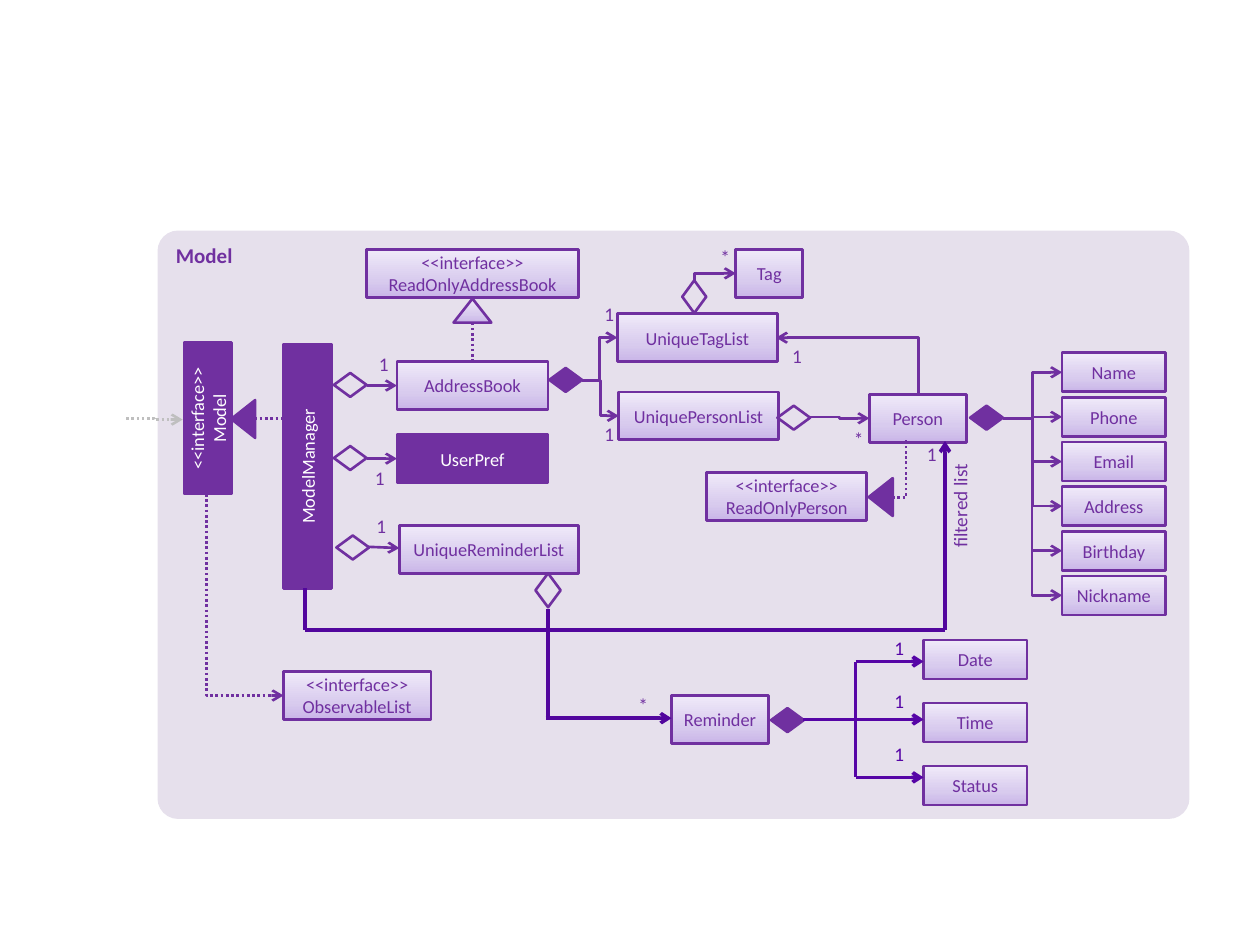
from lxml import etree
from pptx import Presentation
from pptx.dml.color import RGBColor
from pptx.enum.dml import MSO_LINE
from pptx.enum.shapes import MSO_CONNECTOR, MSO_SHAPE
from pptx.enum.text import MSO_ANCHOR, PP_ALIGN
from pptx.oxml.ns import qn
from pptx.util import Inches, Pt

RECT, ROUNDED = MSO_SHAPE.RECTANGLE, MSO_SHAPE.ROUNDED_RECTANGLE
TRIANGLE, DIAMOND = MSO_SHAPE.ISOSCELES_TRIANGLE, MSO_SHAPE.FLOWCHART_DECISION
STRAIGHT, ELBOW = MSO_CONNECTOR.STRAIGHT, MSO_CONNECTOR.ELBOW
LEFT, CENTER, RIGHT = PP_ALIGN.LEFT, PP_ALIGN.CENTER, PP_ALIGN.RIGHT
TOP, MIDDLE = MSO_ANCHOR.TOP, MSO_ANCHOR.MIDDLE
DOTTED = MSO_LINE.ROUND_DOT

PURPLE, DEEP, VIOLET = "7030A0", "52069D", "5605A6"
WHITE, GRAY, LAVENDER = "FFFFFF", "BFBFBF", "E6E0EC"
GRADIENT = [(0, "C9B5E8"), (35, "D8CBEE"), (100, "F0EAF9")]

PANEL = (1.25, 1.83, 8.19, 4.67)
SOLID_BOXES = [
    ("UserPref", (3.15, 3.45, 1.2, 0.38), 0),
    ("ModelManager", (1.47, 3.51, 1.94, 0.38), 270),
    ("<<interface>>\nModel", (1.05, 3.13, 1.2, 0.38), 270),
]
CLASS_HEIGHT = 0.38
CLASSES = [
    ("AddressBook", 3.15, 2.87, 1.2),
    ("UniquePersonList", 4.91, 3.11, 1.27),
    ("UniqueTagList", 4.9, 2.49, 1.27),
    ("Person", 6.9, 3.13, 0.77),
    ("Tag", 5.84, 1.98, 0.53),
    ("<<interface>>\vReadOnlyPerson", 5.61, 3.75, 1.27),
    ("<<interface>>\vReadOnlyAddressBook", 2.91, 1.98, 1.68),
    ("<<interface>>\vObservableList", 2.25, 5.33, 1.17),
    ("UniqueReminderList", 3.17, 4.17, 1.42),
    ("Reminder", 5.33, 5.52, 0.77),
]
FIELD_WIDTH, FIELD_HEIGHT = 0.82, 0.31
PERSON_FIELDS = ["Name", "Phone", "Email", "Address", "Birthday", "Nickname"]
PERSON_LEFT, PERSON_FIRST, PERSON_LAST = 8.43, 2.8, 4.57
TRUNK_STARTS = {"Birthday": 3.33, "Nickname": 3.5}
REMINDER_FIELDS = ["Date", "Time", "Status"]
REMINDER_LEFT, REMINDER_TOP, REMINDER_PITCH = 7.33, 5.08, 0.5
BRANCH_X, BRANCH_TOP, BRANCH_PITCH = 6.79, 5.25, 0.46

TRIANGLES = [
    (1.78, 3.23, 270, PURPLE),
    (6.84, 3.85, 270, PURPLE),
    (3.6, 2.37, 0, GRADIENT),
]
DIAMONDS = [
    (2.65, 3.54, 0, None),
    (2.65, 2.96, 0, None),
    (2.67, 4.25, 0, None),
    (6.17, 3.22, 0, None),
    (5.38, 2.26, 270, None),
    (4.36, 2.92, 0, PURPLE),
    (7.7, 3.22, 0, PURPLE),
    (6.12, 5.62, 0, PURPLE),
]
REMINDER_DIAMOND = (4.25, 4.55, 0.2, 0.27)

PLAIN = {"color": PURPLE, "width": 1.5}
ARROW = {**PLAIN, "arrow": True}
DOTS = {**PLAIN, "dash": DOTTED}
HEAVY = {"color": DEEP, "width": 2}
BRANCH = {"color": VIOLET, "width": 2}
LINES = [
    ((2.91, 3.64), (3.15, 3.64), ARROW),
    ((2.91, 3.06), (3.15, 3.06), ARROW),
    ((2.92, 4.34), (3.17, 4.35), ARROW),
    ((2.02, 3.32), (2.26, 3.32), DOTS),
    ((3.75, 2.56), (3.75, 2.88), DOTS),
    ((2.42, 4.67), (2.42, 5), HEAVY),
    ((2.42, 5), (7.5, 5), HEAVY),
    ((7.5, 5), (7.5, 3.5), {**HEAVY, "arrow": True}),
    ((4.35, 4.83), (4.35, 5.68), HEAVY),
    ((4.33, 5.7), (5.33, 5.7), {**HEAVY, "arrow": True}),
    ((6.37, 5.71), (6.79, 5.71), BRANCH),
    ((6.79, 5.71), (6.79, 5.25), BRANCH),
    ((6.79, 5.71), (6.79, 6.17), BRANCH),
]
ELBOWS = [
    ((1, 3.32), (1.45, 3.33), {**DOTS, "color": GRAY, "arrow": True}),
    ((4.62, 3.02), (4.91, 3.3), ARROW),
    ((4.62, 3.02), (4.9, 2.68), ARROW),
    ((6.43, 3.31), (6.9, 3.32), ARROW),
]
CORNERS = [
    ((7.08, 3.95), (7.19, 3.49), False, DOTS),
    ((5.51, 2.23), (5.84, 2.17), True, ARROW),
    ((1.64, 3.92), (2.25, 5.52), True, {**DOTS, "arrow": True}),
    ((7.29, 3.13), (6.16, 2.68), True, ARROW),
]
MULTIPLICITIES = [
    ("1", 4.73, 2.4), ("1", 4.73, 3.35), ("1", 6.22, 2.73), ("*", 5.65, 1.95),
    ("*", 6.71, 3.39), ("1", 2.94, 2.8), ("1", 2.91, 3.7), ("1", 7.29, 3.51),
    ("1", 2.92, 4.08), ("*", 5, 5.5),
]

presentation = Presentation()
presentation.slide_width, presentation.slide_height = Inches(10), Inches(7.5)
slide = presentation.slides.add_slide(presentation.slide_layouts[6])


def rgb(color):
    return RGBColor.from_string(color)


def set_fill(shape, fill):
    if fill is None:
        shape.fill.background()
    elif isinstance(fill, str):
        shape.fill.solid()
        shape.fill.fore_color.rgb = rgb(fill)
    else:
        shape.fill.gradient()
        shape.fill.gradient_angle = 90
        stops = shape.element.spPr.find(".//" + qn("a:gsLst"))
        for stop in list(stops):
            stops.remove(stop)
        for position, color in fill:
            stop = etree.SubElement(stops, qn("a:gs"), pos=str(position * 1000))
            etree.SubElement(stop, qn("a:srgbClr"), val=color)


def set_text(shape, text, color, size=10.5, align=CENTER, anchor=MIDDLE, bold=False, inset=True, wrap=True):
    frame = shape.text_frame
    frame.text = text
    frame.word_wrap = wrap
    frame.vertical_anchor = anchor
    if not inset:
        for side in ("left", "right", "top", "bottom"):
            setattr(frame, "margin_" + side, 0)
    for paragraph in frame.paragraphs:
        paragraph.alignment = align
        for run in paragraph.runs:
            for name, value in {"name": "Calibri", "size": Pt(size), "bold": bold}.items():
                setattr(run.font, name, value)
            run.font.color.rgb = rgb(color)


def add_shape(kind, box, fill, rotation=0, outline=PURPLE):
    shape = slide.shapes.add_shape(kind, *map(Inches, box))
    shape.shadow.inherit = False
    shape.rotation = rotation
    set_fill(shape, fill)
    if outline:
        shape.line.color.rgb = rgb(outline)
        shape.line.width = Pt(1.5)
    else:
        shape.line.fill.background()
    return shape


def add_box(text, box, fill=GRADIENT, color=PURPLE, rotation=0):
    set_text(add_shape(RECT, box, fill, rotation), text, color, inset=False)


def add_label(text, box, rotation=0, color=PURPLE, **text_format):
    label = slide.shapes.add_textbox(*map(Inches, box))
    label.rotation = rotation
    set_text(label, text, color, size=11, anchor=TOP, **text_format)


def add_line(start, end, style, kind=STRAIGHT):
    connector = slide.shapes.add_connector(kind, *map(Inches, (*start, *end)))
    connector.line.color.rgb = rgb(style["color"])
    connector.line.width = Pt(style["width"])
    if "dash" in style:
        connector.line.dash_style = style["dash"]
    properties = connector.element.spPr
    if style.get("arrow"):
        etree.SubElement(properties.find(qn("a:ln")), qn("a:tailEnd"), type="arrow")
    etree.SubElement(properties, qn("a:effectLst"))
    return properties


def add_corner(start, end, vertical_first, style):
    if vertical_first:
        (x1, y1), (x2, y2) = start, end
        middle_x, middle_y = (x1 + x2) / 2, (y1 + y2) / 2
        half_x, half_y = (y2 - y1) / 2, (x1 - x2) / 2
        start = (middle_x - half_x, middle_y - half_y)
        end = (middle_x + half_x, middle_y + half_y)
    properties = add_line(start, end, style, ELBOW)
    properties.find(qn("a:prstGeom")).set("prst", "bentConnector2")
    if vertical_first:
        properties.find(qn("a:xfrm")).set("rot", "5400000")


panel = add_shape(ROUNDED, PANEL, LAVENDER, outline=None)
panel.adjustments[0] = 0.035
set_text(panel, "Model", PURPLE, size=12, align=LEFT, anchor=TOP, bold=True)

for text, box, rotation in SOLID_BOXES:
    add_box(text, box, PURPLE, WHITE, rotation)
for text, left, top, width in CLASSES:
    add_box(text, (left, top, width, CLASS_HEIGHT))
for left, top, rotation, fill in TRIANGLES:
    add_shape(TRIANGLE, (left, top, 0.3, 0.19), fill, rotation)
for left, top, rotation, fill in DIAMONDS:
    add_shape(DIAMOND, (left, top, 0.26, 0.19), fill, rotation)
add_shape(DIAMOND, REMINDER_DIAMOND, None)

for start, end, style in LINES:
    add_line(start, end, style)
for start, end, style in ELBOWS:
    add_line(start, end, style, ELBOW)
for corner in CORNERS:
    add_corner(*corner)

person_pitch = (PERSON_LAST - PERSON_FIRST) / (len(PERSON_FIELDS) - 1)
for index, field in enumerate(PERSON_FIELDS):
    top = PERSON_FIRST + index * person_pitch
    add_box(field, (PERSON_LEFT, top, FIELD_WIDTH, FIELD_HEIGHT))
    target = (PERSON_LEFT, top + FIELD_HEIGHT / 2)
    if field in TRUNK_STARTS:
        add_corner((8.19, TRUNK_STARTS[field]), target, True, ARROW)
    else:
        add_line((7.96, 3.32), target, ARROW, ELBOW)

for index, field in enumerate(REMINDER_FIELDS):
    add_box(field, (REMINDER_LEFT, REMINDER_TOP + index * REMINDER_PITCH, FIELD_WIDTH, FIELD_HEIGHT))
    y = BRANCH_TOP + index * BRANCH_PITCH
    add_line((BRANCH_X, y), (REMINDER_LEFT, y), {**BRANCH, "arrow": True})
    add_label("1", (7, 5 + index * 0.42, 0.28, 0.29), color=VIOLET, align=LEFT, wrap=False)

for text, left, top in MULTIPLICITIES:
    add_label(text, (left, top, 0.21, 0.2), inset=False)
add_label("filtered list", (7.14, 3.92, 0.96, 0.29), 270, align=RIGHT)

presentation.save("out.pptx")
